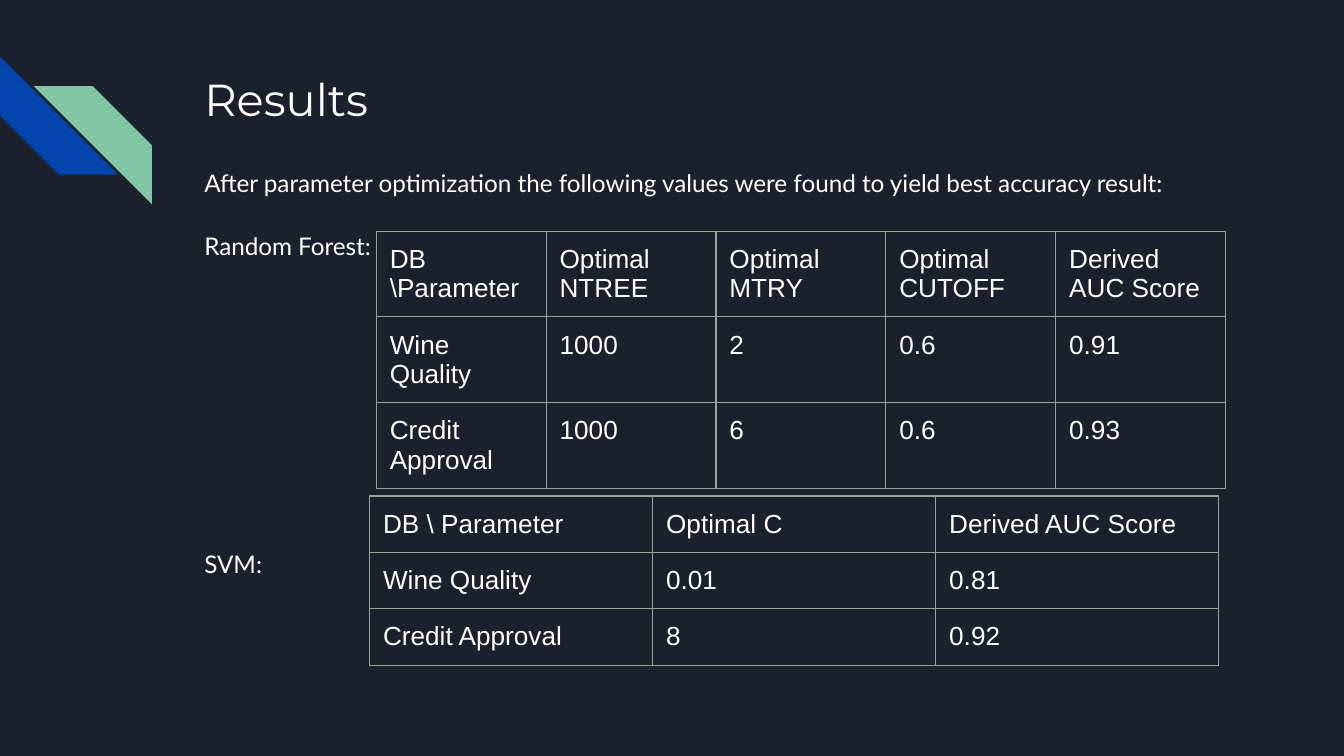
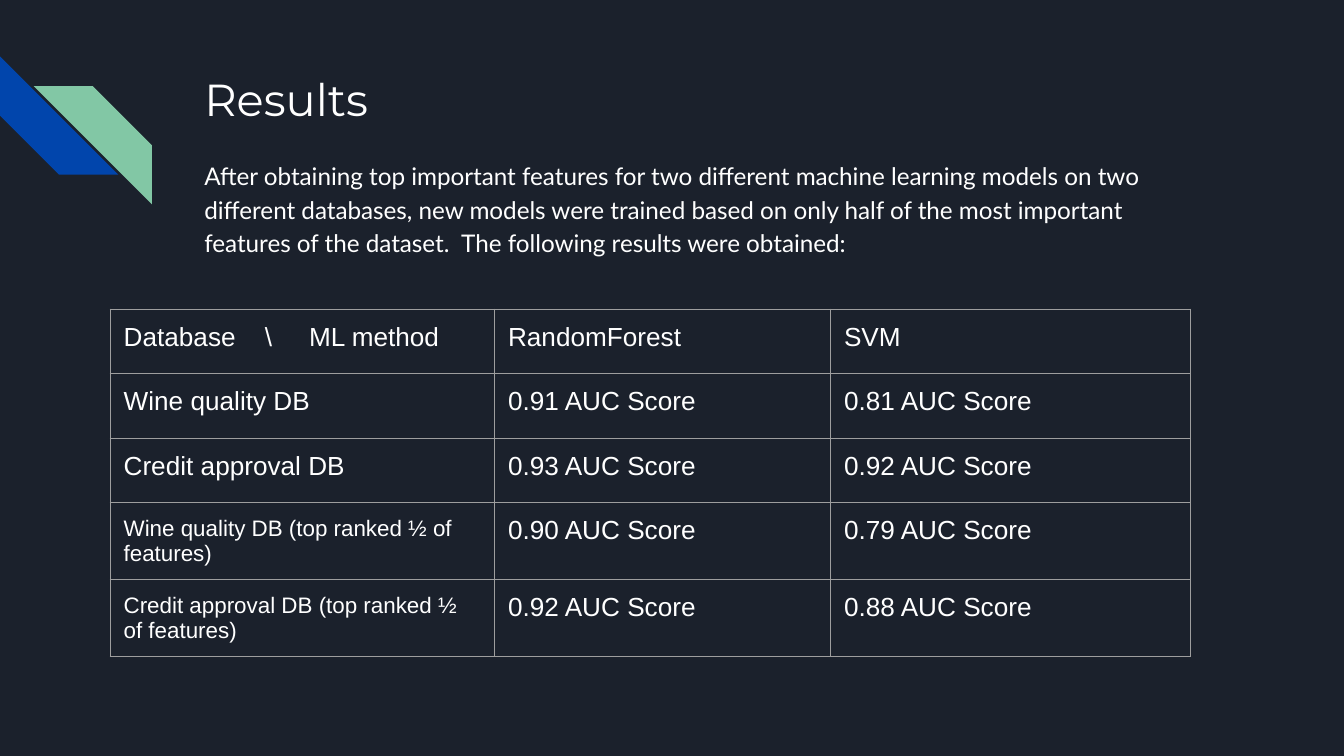
from dataclasses import dataclass

from lxml.etree import SubElement
from pptx import Presentation
from pptx.dml.color import RGBColor
from pptx.enum.shapes import MSO_SHAPE
from pptx.enum.text import MSO_ANCHOR, MSO_AUTO_SIZE, PP_ALIGN
from pptx.oxml.ns import qn
from pptx.util import Inches, Pt


@dataclass(frozen=True)
class Theme:
    background: str = "1B212C"
    text: str = "FFFFFF"
    blue: str = "0145AC"
    green: str = "82C7A5"
    grid: str = "9E9E9E"
    title_font: str = "Montserrat"
    body_font: str = "Lato"
    table_font: str = "Arial"
    title_size: float = 24
    body_size: float = 13
    cell_size: float = 14
    small_cell_size: float = 12
    grid_width: float = 0.75
    line_spacing: float = 1.15
    inset: float = 0.1


class Deck:
    def __init__(self, theme):
        self.theme = theme
        self.prs = Presentation()
        self.prs.slide_width = Inches(10)
        self.prs.slide_height = Inches(10) * 9 // 16
        self.paint(self.prs.slide_master.background.fill, theme.background)
        self.s = None

    def paint(self, fill, color):
        fill.solid()
        fill.fore_color.rgb = RGBColor.from_string(color)

    def new_slide(self, title):
        self.s = self.prs.slides.add_slide(self.prs.slide_layouts[1])
        self.stripe(0, 0.42, self.theme.blue, rotation=270)
        self.stripe(0.25, 0.64, self.theme.green, flipped=True)
        self.title(title)

    def stripe(self, left, top, color, rotation=0, flipped=False):
        sp = self.s.shapes.add_shape(MSO_SHAPE.DIAGONAL_STRIPE, Inches(left),
                                     Inches(top), Inches(0.88), Inches(0.88))
        sp.adjustments[0] = 0.5
        sp.rotation = rotation
        sp.shadow.inherit = False
        self.paint(sp.fill, color)
        sp.line.fill.background()
        if flipped:
            sp.element.spPr.find(qn("a:xfrm")).set("flipH", "1")

    def frame(self, sp, top, height):
        """Place a placeholder in the text column and return its text frame."""
        sp.left, sp.top = Inches(1.42), Inches(top)
        sp.width, sp.height = Inches(7.7), Inches(height)
        tf = sp.text_frame
        tf.word_wrap = True
        tf.auto_size = MSO_AUTO_SIZE.NONE
        tf.vertical_anchor = MSO_ANCHOR.TOP
        self.set_margins(tf)
        return tf

    def set_margins(self, holder):
        for side in ("left", "top", "right", "bottom"):
            setattr(holder, f"margin_{side}", Inches(self.theme.inset))

    def add_run(self, p, text, font, size):
        p.alignment = PP_ALIGN.LEFT
        r = p.add_run()
        r.text = text
        r.font.name = font
        r.font.size = Pt(size)
        r.font.bold = False
        r.font.color.rgb = RGBColor.from_string(self.theme.text)

    def title(self, text):
        tf = self.frame(self.s.shapes.title, 0.43, 1)
        self.add_run(tf.paragraphs[0], text, self.theme.title_font, self.theme.title_size)

    def body(self, top, height, paragraphs):
        """Fill the body with (text, space before in points) pairs."""
        tf = self.frame(self.s.placeholders[1], top, height)
        for i, (text, before) in enumerate(paragraphs):
            p = tf.add_paragraph() if i else tf.paragraphs[0]
            p.line_spacing = self.theme.line_spacing
            p.space_before, p.space_after = Pt(before), Pt(0)
            self.add_run(p, text, self.theme.body_font, self.theme.body_size)
            pPr = p._p.get_or_add_pPr()
            pPr.set("marL", "0")
            pPr.set("indent", "0")
            SubElement(pPr, qn("a:buNone"))

    def table(self, left, top, columns, row_height, rows, small_rows=(), tabs=()):
        """Draw a grid; small_rows get a smaller label, tabs are stops in the header label."""
        shape = self.s.shapes.add_table(
            len(rows), len(columns), Inches(left), Inches(top),
            Inches(sum(columns)), Inches(row_height * len(rows)))
        table = shape.table
        table.first_row = table.horz_banding = False
        for column, width in zip(table.columns, columns):
            column.width = Inches(width)
        for i, row in enumerate(rows):
            table.rows[i].height = Inches(row_height)
            for j, text in enumerate(row):
                small = j == 0 and i in small_rows
                size = self.theme.small_cell_size if small else self.theme.cell_size
                self.fill_cell(table.cell(i, j), text, size)
        if tabs:
            pPr = table.cell(0, 0).text_frame.paragraphs[0]._p.get_or_add_pPr()
            stops = SubElement(pPr, qn("a:tabLst"))
            for stop in tabs:
                SubElement(stops, qn("a:tab"), pos=str(Inches(stop)), algn="l")

    def fill_cell(self, cell, text, size):
        self.set_margins(cell)
        cell.vertical_anchor = MSO_ANCHOR.TOP
        self.add_run(cell.text_frame.paragraphs[0], text, self.theme.table_font, size)
        tcPr = cell._tc.get_or_add_tcPr()
        for edge in ("lnL", "lnR", "lnT", "lnB"):
            line = SubElement(tcPr, qn(f"a:{edge}"), w=str(Pt(self.theme.grid_width)))
            fill = SubElement(line, qn("a:solidFill"))
            SubElement(fill, qn("a:srgbClr"), val=self.theme.grid)
        cell.fill.background()


def add_optimal_parameters(deck):
    deck.new_slide("Results")
    deck.body(1.12, 4.16, [
        ("After parameter optimization the following values were found "
         "to yield best accuracy result:", 0),
        ("Random Forest:", 16),
        ("SVM:", 152),
    ])
    table_width = 6.32
    deck.table(2.8, 1.72, [table_width / 5] * 5, 0.42, [
        ["DB \\Parameter", "Optimal NTREE", "Optimal MTRY", "Optimal CUTOFF",
         "Derived AUC Score"],
        ["Wine Quality", "1000", "2", "0.6", "0.91"],
        ["Credit Approval", "1000", "6", "0.6", "0.93"],
    ])
    deck.table(2.75, 3.69, [table_width / 3] * 3, 0.42, [
        ["DB \\ Parameter", "Optimal C", "Derived AUC Score"],
        ["Wine Quality", "0.01", "0.81"],
        ["Credit Approval", "8", "0.92"],
    ])


def add_reduced_feature_scores(deck):
    deck.new_slide("Results")
    deck.body(1.07, 3.18, [
        ("After obtaining top important features for two different machine learning "
         "models on two different databases, new models were trained based on only half "
         "of the most important features of the dataset.  The following results were "
         "obtained:", 0),
    ])
    scores = [
        ("Wine quality DB", "0.91", "0.81"),
        ("Credit approval DB", "0.93", "0.92"),
        ("Wine quality DB (top ranked ½ of features)", "0.90", "0.79"),
        ("Credit approval DB (top ranked ½ of features)", "0.92", "0.88"),
    ]
    rows = [["Database\t\\\tML method", "RandomForest", "SVM"]]
    rows += [[label, f"{forest} AUC Score", f"{svm} AUC Score"]
             for label, forest, svm in scores]
    deck.table(0.82, 2.3, [2.86, 2.5, 2.68], 0.48, rows,
               small_rows=(3, 4), tabs=(1.05, 1.38))


def main():
    deck = Deck(Theme())
    add_optimal_parameters(deck)
    add_reduced_feature_scores(deck)
    deck.prs.save("out.pptx")


if __name__ == "__main__":
    main()
